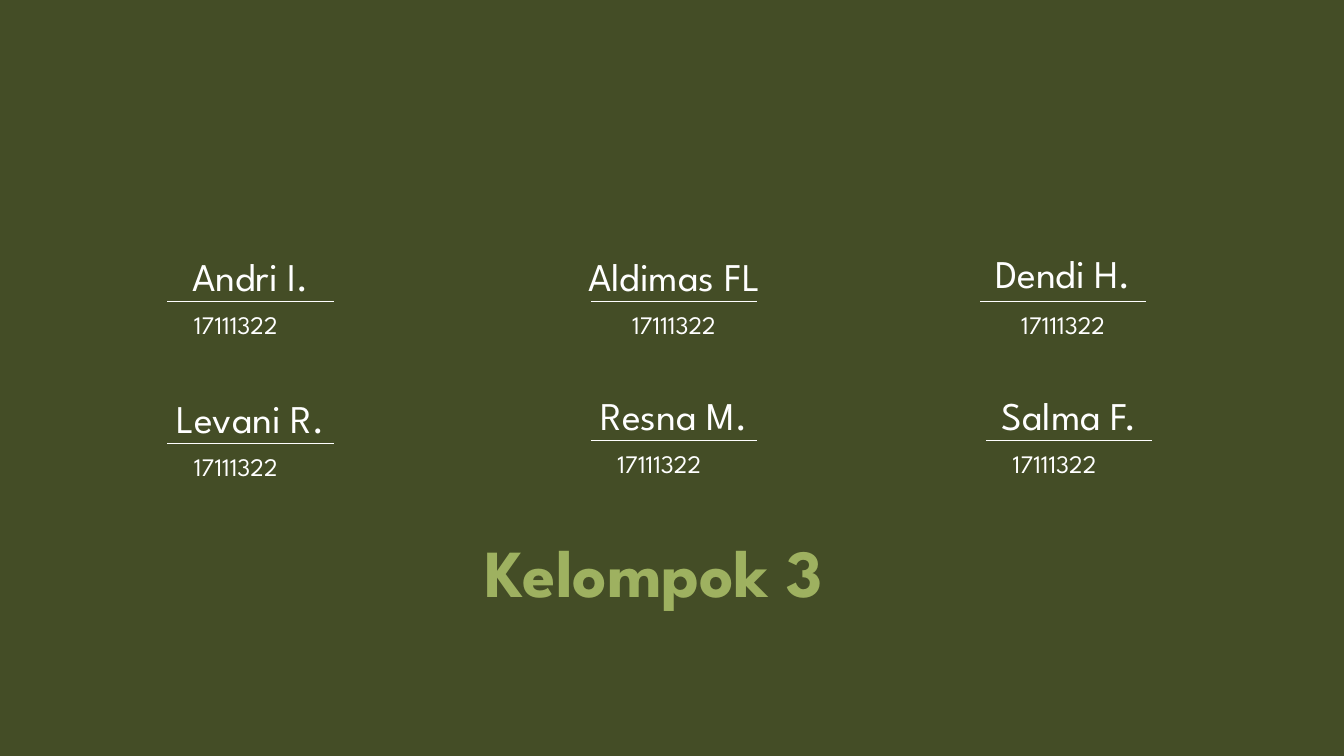
from lxml import etree
from pptx import Presentation
from pptx import util as u
from pptx.dml.color import RGBColor
from pptx.enum import shapes, text
from pptx.oxml import ns

OLIVE = RGBColor(0x44, 0x4D, 0x26)
SAGE = RGBColor(0x9E, 0xB1, 0x60)
WHITE = RGBColor(0xFF, 0xFF, 0xFF)
LEFT, CENTER = text.PP_ALIGN.LEFT, text.PP_ALIGN.CENTER

RULE_W = 12.38
NUMBER_W = 9.9
NAME_RISE = 7.2
STUDENT_ID = "17111322"


class Deck:
    font = "League Spartan"

    def __init__(self, prs, background):
        self.w, self.h = prs.slide_width, prs.slide_height
        self.s = prs.slides.add_slide(prs.slide_layouts[6])
        fill = self.s.background.fill
        fill.solid()
        fill.fore_color.rgb = background

    def x(self, percent):
        return u.Emu(round(self.w * percent / 100))

    def y(self, percent):
        return u.Emu(round(self.h * percent / 100))

    def label(self, words, x, y, w, h, size, color=WHITE, align=LEFT, bold=False):
        sp = self.s.shapes.add_textbox(self.x(x), self.y(y), self.x(w), self.y(h))
        tf = sp.text_frame
        tf.word_wrap = False
        tf.auto_size = text.MSO_AUTO_SIZE.SHAPE_TO_FIT_TEXT
        p = tf.paragraphs[0]
        p.alignment = align
        r = p.add_run()
        r.text = words
        r.font.name = self.font
        r.font.size = u.Pt(size)
        r.font.bold = bold
        r.font.color.rgb = color

    def rule(self, x, y, w):
        sp = self.s.shapes.add_connector(
            shapes.MSO_CONNECTOR.STRAIGHT, self.x(x), self.y(y), self.x(x + w), self.y(y))
        sp.line.color.rgb = WHITE
        sp.line.width = u.Pt(0.75)
        etree.SubElement(sp._element.spPr, ns.qn("a:effectLst"))

    def member(self, name, x, y, name_w, align, rise=NAME_RISE):
        name_x = x + (RULE_W - name_w) / 2
        self.label(name, name_x, y - rise, name_w, 7.6, 28, align=CENTER)
        self.rule(x, y, RULE_W)
        number_x = x + (RULE_W - NUMBER_W) / 2
        self.label(STUDENT_ID, number_x, y + 0.4, NUMBER_W, 5.33, 18, align=align)


def main():
    prs = Presentation()
    prs.slide_width, prs.slide_height = u.Inches(13.33), u.Inches(7.5)
    deck = Deck(prs, OLIVE)
    deck.label("Kelompok 3", 35.41, 69.47, 30.83, 12.13, 48, SAGE, bold=True)
    deck.member("Andri I.", 12.45, 39.87, 11.25, LEFT)
    deck.member("Aldimas FL", 43.96, 39.87, 16.43, CENTER)
    deck.member("Dendi H.", 72.92, 39.87, 13.65, CENTER, rise=7.6)
    deck.member("Levani R.", 12.45, 58.67, 14.25, LEFT)
    deck.member("Resna M.", 43.96, 58.27, 14.55, LEFT)
    deck.member("Salma F.", 73.37, 58.27, 13.43, LEFT)
    prs.save("out.pptx")


if __name__ == "__main__":
    main()
